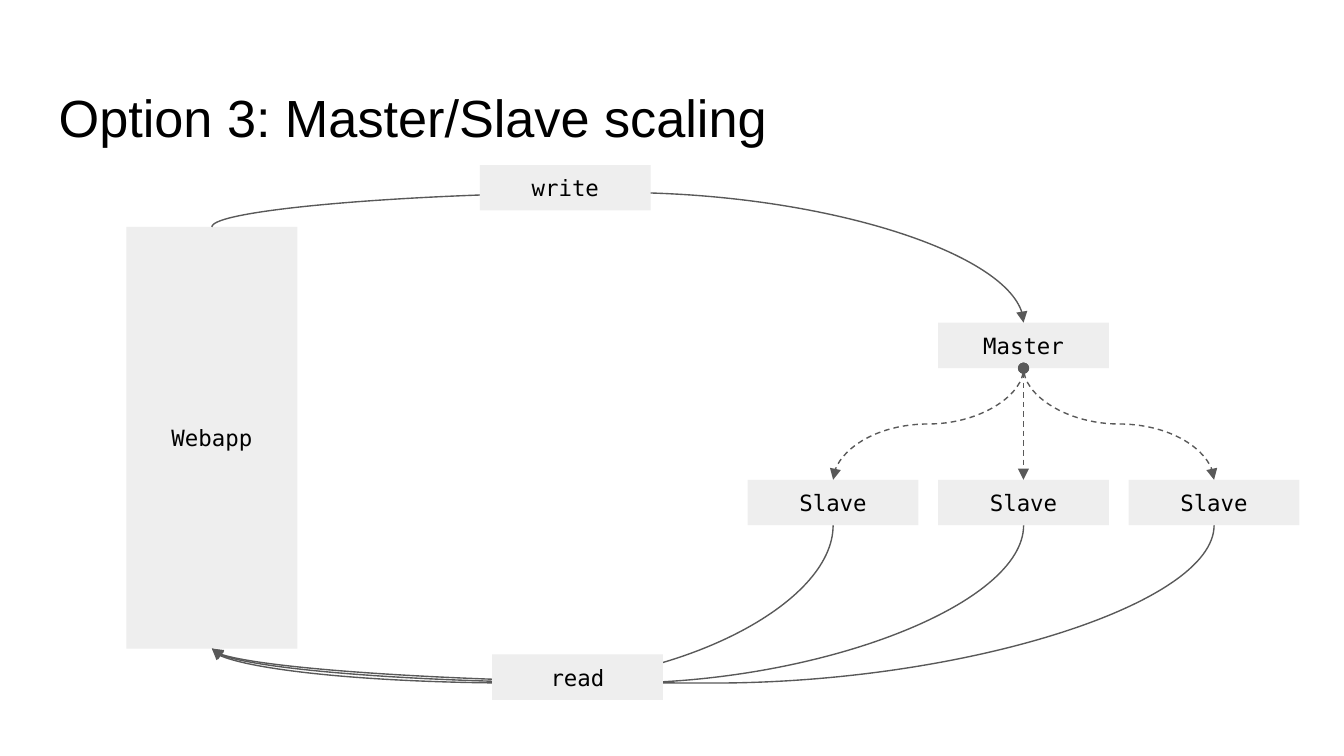
from lxml import etree
from pptx import Presentation
from pptx.dml.color import RGBColor
from pptx.enum import dml, shapes, text
from pptx.oxml import ns
from pptx.util import Cm, Pt

BLACK = RGBColor(0x00, 0x00, 0x00)
PALE = RGBColor(0xEE, 0xEE, 0xEE)
GREY = RGBColor(0x59, 0x59, 0x59)
WHITE = RGBColor(0xFF, 0xFF, 0xFF)

NODE_W, NODE_H = 3.23, 0.86
PITCH = 3.6
TOP, BOTTOM = 0, 2  # connection sites of a rectangle

FRAME = {"word_wrap": True, "auto_size": text.MSO_AUTO_SIZE.NONE,
         "margin_left": Cm(0.25), "margin_right": Cm(0.25),
         "margin_top": Cm(0.25), "margin_bottom": Cm(0.25)}
TITLE = {"name": "Arial", "size": Pt(28)}
LABEL = {"name": "DejaVu Sans Mono", "size": Pt(12)}


def apply(obj, form):
    for key, val in form.items():
        setattr(obj, key, val)


def write(shape, words, font, anchor, align):
    frame = shape.text_frame
    apply(frame, FRAME)
    frame.vertical_anchor = anchor
    para = frame.paragraphs[0]
    para.alignment = align
    run = para.add_run()
    run.text = words
    apply(run.font, font)
    run.font.color.rgb = BLACK
    return para


def head(slide, words, x, y, w, h):
    title = slide.shapes.title
    apply(title, {"left": Cm(x), "top": Cm(y), "width": Cm(w), "height": Cm(h)})
    para = write(title, words, TITLE, text.MSO_ANCHOR.TOP, text.PP_ALIGN.LEFT)
    para.line_spacing = 1.1


def node(slide, words, x, y, w=NODE_W, h=NODE_H):
    box = slide.shapes.add_shape(shapes.MSO_SHAPE.RECTANGLE,
                                 Cm(x), Cm(y), Cm(w), Cm(h))
    box.shadow.inherit = False
    box.fill.solid()
    box.fill.fore_color.rgb = PALE
    box.line.fill.background()
    write(box, words, LABEL, text.MSO_ANCHOR.MIDDLE, text.PP_ALIGN.CENTER)
    return box


def port(box, site):
    return box.left + box.width // 2, box.top + (box.height if site == BOTTOM else 0)


def curve(slide, start, site, end, goal, bend, dashed=False):
    """Join two boxes with a curve that leaves and arrives vertically."""
    (x1, y1), (x2, y2) = port(start, site), port(end, goal)
    link = slide.shapes.add_connector(shapes.MSO_CONNECTOR.CURVE, x1, y1, x2, y2)
    link.begin_connect(start, site)
    link.end_connect(end, goal)
    link.line.color.rgb = GREY
    link.line.width = Pt(0.75)
    if dashed:
        link.line.dash_style = dml.MSO_LINE.DASH

    # Turn the frame by a quarter, so that its width runs down the slide
    wide, high = abs(y2 - y1), abs(x2 - x1)
    apply(link, {"left": (x1 + x2 - wide) // 2, "top": (y1 + y2 - high) // 2,
                 "width": wide, "height": high})
    props = link._element.spPr
    xfrm = props.find(ns.qn("a:xfrm"))
    for flip in ("flipH", "flipV"):
        xfrm.attrib.pop(flip, None)
    xfrm.set("rot", str((270 if x2 >= x1 else 90) * 60000))
    if x2 >= x1:
        xfrm.set("flipH", "1")

    # Bend, arrowheads, no shadow
    geom = props.find(ns.qn("a:prstGeom"))
    guides = geom.find(ns.qn("a:avLst"))
    if guides is None:
        guides = etree.SubElement(geom, ns.qn("a:avLst"))
    etree.SubElement(guides, ns.qn("a:gd"), name="adj1",
                     fmla=f"val {round(bend * 100000)}")
    line = props.find(ns.qn("a:ln"))
    if dashed:
        etree.SubElement(line, ns.qn("a:headEnd"), type="oval", w="med", len="med")
    etree.SubElement(line, ns.qn("a:tailEnd"), type="triangle", w="med", len="med")
    etree.SubElement(props, ns.qn("a:effectLst"))


def diagram(slide, x, y):
    # Servers
    master = node(slide, "Master", x + 15.34, y + 1.81)
    slaves = [node(slide, "Slave", x + 15.34 + i * PITCH, y + 4.78)
              for i in (-1, 0, 1)]
    webapp = node(slide, "Webapp", x, y, h=7.97)

    # Writes, reads and replication
    curve(slide, webapp, TOP, master, TOP, -0.36)
    for slave in slaves:
        curve(slide, slave, BOTTOM, webapp, BOTTOM, 1.28)
    for slave in slaves:
        curve(slide, master, BOTTOM, slave, TOP, 0.5, dashed=True)

    # Labels over the curves
    node(slide, "write", x + 6.68, y - 1.17)
    node(slide, "read", x + 6.91, y + 8.08)


deck = Presentation()
deck.slide_width, deck.slide_height = Cm(25.4), Cm(14.29)
slide = deck.slides.add_slide(deck.slide_layouts[5])
slide.background.fill.solid()
slide.background.fill.fore_color.rgb = WHITE
head(slide, "Option 3: Master/Slave scaling", 0.86, 1.24, 23.67, 1.6)
diagram(slide, 2.39, 4.29)
deck.save("out.pptx")
